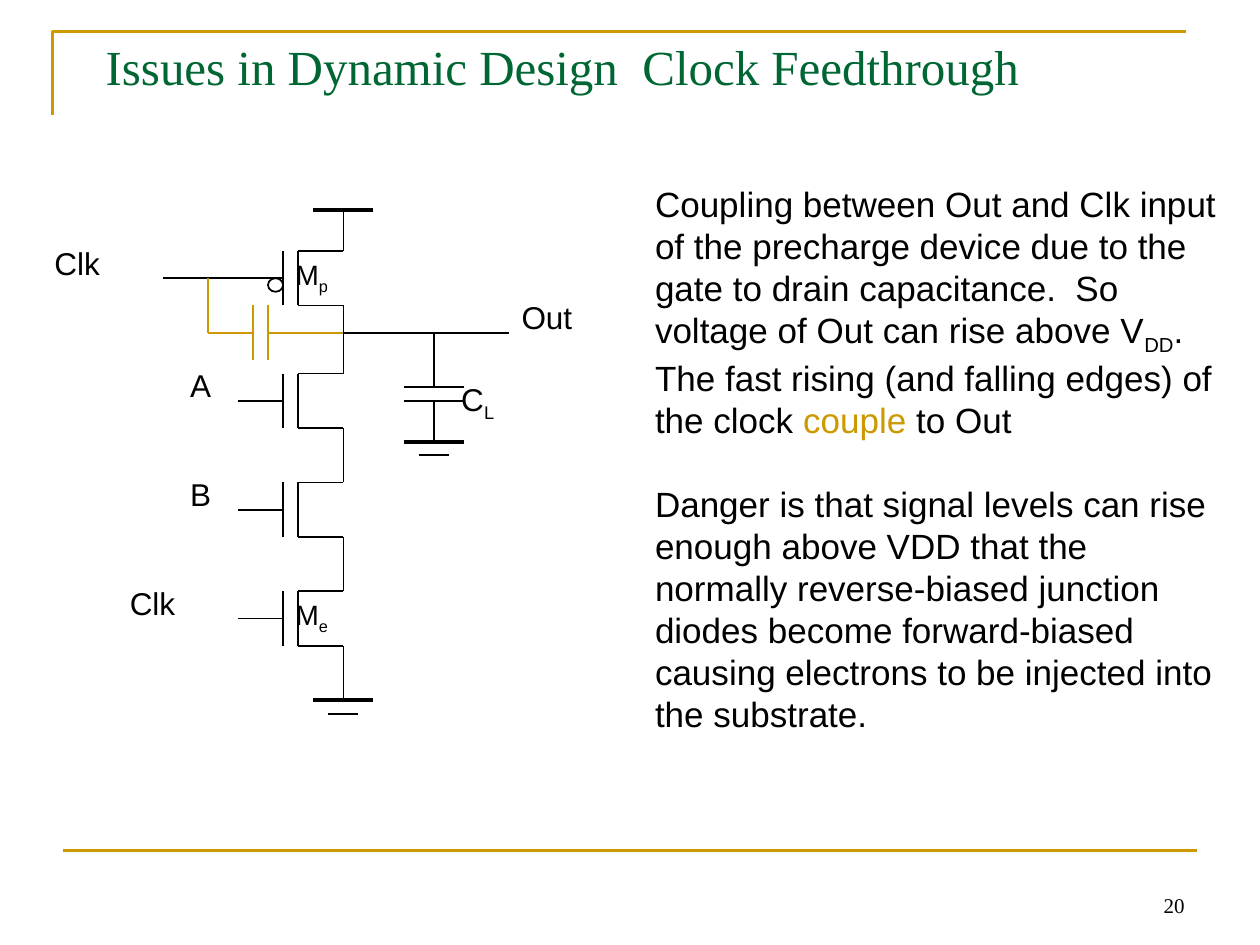
from lxml import etree
from pptx import Presentation
from pptx import util as u
from pptx.dml.color import RGBColor
from pptx.enum import shapes, text
from pptx.oxml import ns

Pt = u.Pt
BLACK = RGBColor(0x00, 0x00, 0x00)
GOLD = RGBColor(0xCC, 0x99, 0x00)
GREEN = RGBColor(0x00, 0x66, 0x33)
SANS, SERIF = "Arial", "Times New Roman"

# Circuit grid: origin and step in points
LEFT, TOP = 92.9, 120.1
STEP_X, STEP_Y = 8.61, 7.78
RAIL = 12  # grid column of the transistor stack
LOAD = 18  # grid column of the load capacitor


def grid(col, row):
    return LEFT + col * STEP_X, TOP + row * STEP_Y


def add_span(para, words, size=18, font=SANS, color=BLACK, sub=False):
    span = para.add_run()
    span.text = words
    span.font.size = Pt(size)
    span.font.name = font
    span.font.color.rgb = color
    if sub:
        span._r.get_or_add_rPr().set("baseline", "-25000")


class Sketch:
    """Holds the line style and the slide being drawn."""

    def __init__(self, page):
        self.page = page
        self.target = page.shapes
        self.weight = 1

    def start_group(self):
        self.target = self.page.shapes.add_group_shape().shapes

    def end_group(self):
        self.target = self.page.shapes

    def line(self, start, end, color=BLACK, weight=None):
        wire = self.target.add_connector(
            shapes.MSO_CONNECTOR.STRAIGHT, *(Pt(v) for v in (*start, *end)))
        wire.line.color.rgb = color
        wire.line.width = Pt(weight or self.weight)
        etree.SubElement(wire._element.spPr, ns.qn("a:effectLst"))

    def wire(self, *points, **style):
        """Join grid points one after another."""
        for start, end in zip(points, points[1:]):
            self.line(grid(*start), grid(*end), **style)

    def bar(self, col, row, half, **style):
        self.wire((col - half, row), (col + half, row), **style)

    def corner(self, points, color, weight):
        (x, y), *rest = points
        builder = self.target.build_freeform(Pt(x), Pt(y))
        builder.add_line_segments([(Pt(a), Pt(b)) for a, b in rest], close=False)
        frame = builder.convert_to_shape()
        frame.fill.background()
        frame.line.color.rgb = color
        frame.line.width = Pt(weight)
        frame.shadow.inherit = False

    def bubble(self, col, row):
        x, y = grid(col, row)
        ring = self.target.add_shape(
            shapes.MSO_SHAPE.OVAL, Pt(x), Pt(y), Pt(STEP_X), Pt(STEP_Y))
        ring.fill.background()
        ring.line.color.rgb = BLACK
        ring.line.width = Pt(self.weight)
        ring.shadow.inherit = False

    def text(self, x, y, width, height, paras, align=text.PP_ALIGN.LEFT,
             anchor=text.MSO_ANCHOR.TOP, gap=0, **style):
        """Each paragraph is a list of (words, format) pairs."""
        box = self.target.add_textbox(Pt(x), Pt(y), Pt(width), Pt(height))
        frame = box.text_frame
        frame.word_wrap = True
        frame.vertical_anchor = anchor
        for i, spans in enumerate(paras):
            para = frame.add_paragraph() if i else frame.paragraphs[0]
            para.alignment = align
            para.space_before = Pt(gap if i else 0)
            for words, extra in spans:
                add_span(para, words, **{**style, **extra})

    def label(self, col, row, words, sub="", size=18):
        spans = [(words, {})]
        if sub:
            spans.append((sub, {"sub": True}))
        self.text(*grid(col, row), 62, 37, [spans], size=size)

    def transistor(self, row):
        """Draw a device whose channel starts at the given row."""
        end = row + 4
        self.wire((RAIL, row - 3), (RAIL, row), (RAIL - 3, row),
                  (RAIL - 3, end), (RAIL, end), (RAIL, end + 3))
        self.wire((RAIL - 4, row), (RAIL - 4, end))
        self.wire((RAIL - 7, row + 2), (RAIL - 4, row + 2))

    def ground(self, col, row):
        self.bar(col, row, 2, weight=2.25)
        self.bar(col, row + 1, 1)


def main():
    deck = Presentation()
    deck.slide_width, deck.slide_height = Pt(720), Pt(540)
    sketch = Sketch(deck.slides.add_slide(deck.slide_layouts[6]))

    # Frame and title
    sketch.corner([(30, 66), (30, 18), (678, 18)], GOLD, 1.5)
    sketch.line((36, 486), (684, 486), GOLD, 1.5)
    sketch.text(53.3, 17.3, 612, 56,
                [[("Issues in Dynamic Design  Clock Feedthrough", {})]],
                size=28, font=SERIF, color=GREEN)

    # Transistor stack between supply and ground
    sketch.start_group()
    for row in (3, 12, 20, 28):
        sketch.transistor(row)
    sketch.bubble(7, 5)
    sketch.wire((0, 5), (5, 5))
    sketch.bar(RAIL, 0, 2, weight=2.25)
    sketch.wire((RAIL, 33), (RAIL, 36))
    sketch.ground(RAIL, 36)

    # Output and load capacitor
    sketch.wire((RAIL, 9), (23, 9))
    sketch.wire((LOAD, 9), (LOAD, 13))
    for row in (13, 14):
        sketch.bar(LOAD, row, 2)
    sketch.wire((LOAD, 14), (LOAD, 17))
    sketch.ground(LOAD, 17)

    # Coupling capacitor
    sketch.wire((3, 5), (3, 9), (6, 9), color=GOLD)
    for col in (6, 7):
        sketch.wire((col, 7), (col, 11), color=GOLD)
    sketch.wire((7, 9), (RAIL, 9), color=GOLD)

    # Labels
    for col, row, words in ((-8, 2, "Clk"), (1, 11, "A"), (1, 19, "B"),
                            (-3, 27, "Clk"), (23, 6, "Out")):
        sketch.label(col, row, words)
    sketch.label(19, 12, "C", sub="L")
    sketch.label(8, 3, "M", sub="p", size=16)
    sketch.label(8, 28, "M", sub="e", size=16)
    sketch.end_group()

    # Explanation
    coupling = [
        ("Coupling between Out and Clk input of the precharge device due to the "
         "gate to drain capacitance.  So voltage of Out can rise above V", {}),
        ("DD", {"sub": True}),
        (".  The fast rising (and falling edges) of the clock ", {}),
        ("couple", {"color": GOLD}),
        (" to Out", {}),
    ]
    danger = [
        ("Danger is that signal levels can rise enough above VDD that the "
         "normally reverse-biased junction diodes become forward-biased causing "
         "electrons to be injected into the substrate.", {}),
    ]
    sketch.text(367.2, 100.8, 337, 395.3, [coupling, danger], gap=24, size=20)

    # Page number
    sketch.text(516.2, 491.8, 167.8, 36, [[("20", {})]],
                align=text.PP_ALIGN.RIGHT, anchor=text.MSO_ANCHOR.BOTTOM,
                size=12, font=SERIF)

    deck.save("out.pptx")


if __name__ == "__main__":
    main()
